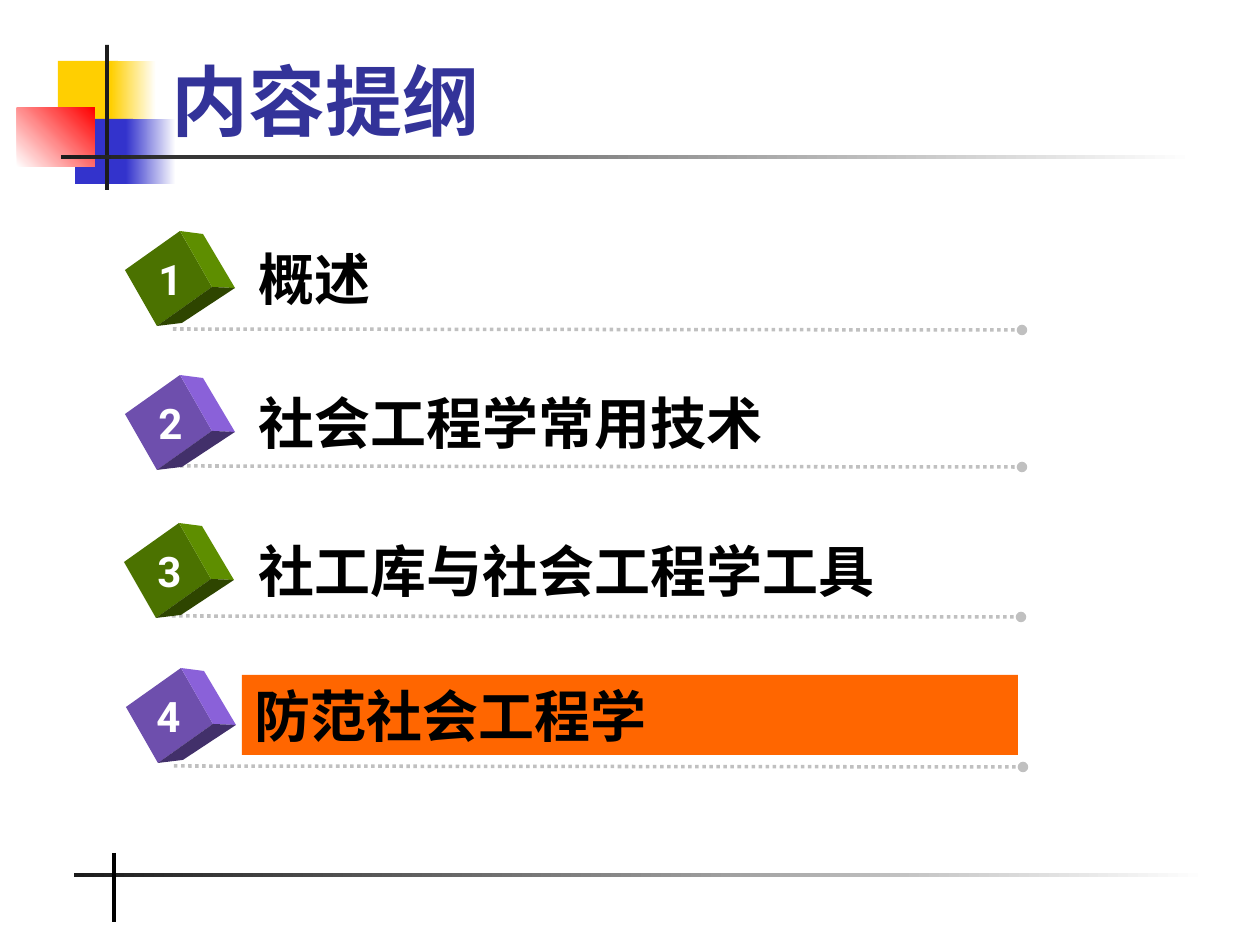
import pptx
import pptx.util
import pptx.dml.color
import pptx.enum.dml
import pptx.enum.shapes
import pptx.enum.text
import pptx.oxml
import pptx.oxml.ns

PX = 914400 / 126  # EMU in one px
COLORS = {
    "yellow": "FFCF01", "blue": "3333CC", "red": "FF0000", "white": "FFFFFF",
    "black": "000000", "dark": "1C1C1C", "title": "333399",
    "dots": "C0C0C0", "highlight": "FF6600",
    "green_front": "4B7200", "green_side": "5E8E00", "green_base": "2E4500",
    "purple_front": "6E4FAD", "purple_side": "8A61D9", "purple_base": "42306A",
}
# Faces of a cube, as offsets from its top left corner
CUBE_FACES = {
    "front": [(0, 39), (55, 0), (87, 56), (32, 95)],
    "side": [(55, 0), (78, 3), (110, 57), (87, 56)],
    "base": [(32, 95), (87, 56), (110, 57), (57, 92)],
}
# Label, cube left, cube top, number left, dotted line top
TOPICS = [
    ("概述", 125, 231, 146, 329),
    ("社会工程学常用技术", 125, 375, 146, 466),
    ("社工库与社会工程学工具", 124, 523, 145, 616),
    ("防范社会工程学", 126, 668, 144, 766),
]
CURRENT = 4


def px(*values):
    return [pptx.util.Emu(round(v * PX)) for v in values]


def rgb(name):
    return pptx.dml.color.RGBColor.from_string(COLORS[name])


def style_font(p, size, color, name="Times New Roman"):
    p.font.size = pptx.util.Pt(size)
    p.font.bold = True
    p.font.name = name
    p.font.color.rgb = rgb(color)


def paint(sp, color):
    sp.shadow.inherit = False
    sp.fill.solid()
    sp.fill.fore_color.rgb = rgb(color)
    sp.line.fill.background()


def add_rect(s, box, color, end=None, angle=0):
    """A plain rectangle, or a gradient one when an end colour is given."""
    sp = s.shapes.add_shape(pptx.enum.shapes.MSO_SHAPE.RECTANGLE, *px(*box))
    paint(sp, color)
    if end:
        sp.fill.gradient()
        sp.fill.gradient_angle = angle
        for stop, name, position in zip(sp.fill.gradient_stops, (color, end), (0, 1)):
            stop.color.rgb = rgb(name)
            stop.position = position
    return sp


def add_line(s, start, end, color, width):
    line = s.shapes.add_connector(
        pptx.enum.shapes.MSO_CONNECTOR.STRAIGHT, *px(*start, *end))
    line.line.color.rgb = rgb(color)
    line.line.width = pptx.util.Pt(width)
    line._element.spPr.append(pptx.oxml.parse_xml(
        f'<a:effectLst {pptx.oxml.ns.nsdecls("a")}/>'))
    return line


def add_dotted_line(s, x, y):
    line = add_line(s, (x, y), (x + 849, y + 1), "dots", 2)
    line.line.dash_style = pptx.enum.dml.MSO_LINE.ROUND_DOT
    line.line._get_or_add_ln().append(pptx.oxml.parse_xml(
        f'<a:tailEnd {pptx.oxml.ns.nsdecls("a")} type="oval"/>'))


def add_cube(s, x, y, hue):
    for face, corners in CUBE_FACES.items():
        points = [(x + dx, y + dy) for dx, dy in corners]
        builder = s.shapes.build_freeform(*points[0], scale=PX)
        builder.add_line_segments(points[1:], close=True)
        paint(builder.convert_to_shape(), f"{hue}_{face}")


def add_text(s, box, text, size, color, font="Times New Roman", centered=False):
    sp = s.shapes.add_textbox(*px(*box))
    tf = sp.text_frame
    tf.word_wrap = not centered
    p = tf.paragraphs[0]
    p.text = text
    if centered:
        p.alignment = pptx.enum.text.PP_ALIGN.CENTER
    style_font(p, size, color, font)
    return sp


def add_decoration(s):
    # Coloured blocks at the top left
    add_rect(s, (58, 61, 60, 65), "yellow")
    add_rect(s, (111, 61, 45, 65), "yellow", "white")
    add_rect(s, (75, 119, 58, 65), "blue")
    add_rect(s, (126, 119, 50, 65), "blue", "white")
    add_rect(s, (17, 108, 78, 59), "white", "red", 45)
    # Crossed bars, top and bottom
    add_rect(s, (105, 45, 4, 145), "dark")
    add_rect(s, (61, 155, 1134, 4), "dark", "white")
    add_rect(s, (74, 873, 1134, 4), "dark", "white")
    add_line(s, (114, 853), (114, 922), "black", 2.25)


def add_title(s, text):
    sp = s.shapes.title
    sp.left, sp.top, sp.width, sp.height = px(159, 20, 1074, 132)
    tf = sp.text_frame
    tf.vertical_anchor = pptx.enum.text.MSO_ANCHOR.BOTTOM
    p = tf.paragraphs[0]
    p.text = text
    p.alignment = pptx.enum.text.PP_ALIGN.LEFT
    style_font(p, 44, "title")


def add_topic(s, number, label, x, y, number_x, line_y):
    current = number == CURRENT
    add_dotted_line(s, x + 48, line_y)
    add_cube(s, x, y, "green" if number % 2 else "purple")
    sp = add_text(s, (242 if current else 246, y + 7, 776, 80), label, 32, "black")
    if current:
        paint(sp, "highlight")
    add_text(s, (number_x, y + 16, 49, 63), str(number), 24, "white", "Roboto", True)


def main():
    prs = pptx.Presentation()
    prs.slide_width, prs.slide_height = px(1260, 945)
    s = prs.slides.add_slide(prs.slide_layouts[5])
    add_decoration(s)
    add_title(s, "内容提纲")
    for number, topic in enumerate(TOPICS, 1):
        add_topic(s, number, *topic)
    prs.save("out.pptx")


if __name__ == "__main__":
    main()
